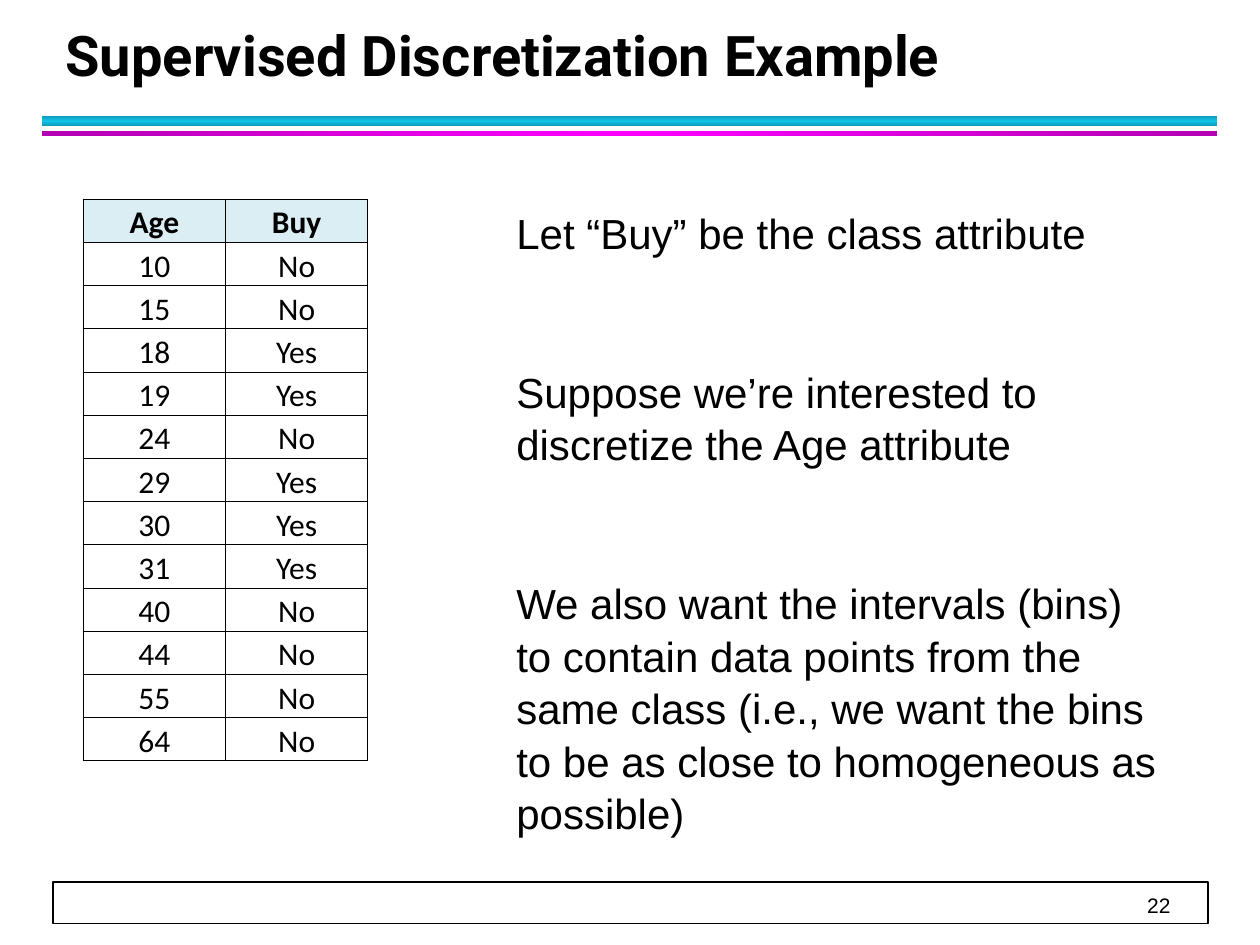
"""Build the supervised discretization example slide."""
from copy import deepcopy
from typing import NamedTuple

from lxml.etree import SubElement
from pptx import Presentation
from pptx.dml.color import RGBColor
from pptx.enum.shapes import MSO_SHAPE as Preset
from pptx.enum.text import MSO_ANCHOR as Anchor, MSO_AUTO_SIZE as AutoSize, PP_ALIGN as Align
from pptx.oxml.ns import qn
from pptx.util import Inches, Pt

BLACK = RGBColor(0x00, 0x00, 0x00)
WHITE = RGBColor(0xFF, 0xFF, 0xFF)
HEADER_BLUE = RGBColor(0xDA, 0xEE, 0xF3)
DARK_CYAN = RGBColor(0x0E, 0x9B, 0xBA)
CYAN = RGBColor(0x12, 0xC2, 0xE9)
DARK_MAGENTA = RGBColor(0xB2, 0x00, 0xB2)
MAGENTA = RGBColor(0xFF, 0x00, 0xFF)


class Band(NamedTuple):
    top: float
    height: float
    edge: RGBColor
    middle: RGBColor
    angle: int


class Purchase(NamedTuple):
    age: str
    buy: str


BANDS = [
    Band(0.92, 0.08, DARK_CYAN, CYAN, 90),
    Band(1.04, 0.04, DARK_MAGENTA, MAGENTA, 0),
]
PURCHASES = [
    Purchase("Age", "Buy"),
    Purchase("10", "No"),
    Purchase("15", "No"),
    Purchase("18", "Yes"),
    Purchase("19", "Yes"),
    Purchase("24", "No"),
    Purchase("29", "Yes"),
    Purchase("30", "Yes"),
    Purchase("31", "Yes"),
    Purchase("40", "No"),
    Purchase("44", "No"),
    Purchase("55", "No"),
    Purchase("64", "No"),
]
STATEMENTS = [
    "Let “Buy” be the class attribute",
    "Suppose we’re interested to discretize the Age attribute",
    "We also want the intervals (bins) to contain data points from the same class "
    "(i.e., we want the bins to be as close to homogeneous as possible)",
]


def style_runs(paragraph, font_name: str, size: int, bold: bool = False) -> None:
    for run in paragraph.runs:
        run.font.name = font_name
        run.font.size = Pt(size)
        run.font.bold = bold
        run.font.color.rgb = BLACK


def set_margins(frame, horizontal: float, vertical: float) -> None:
    frame.margin_left = frame.margin_right = Inches(horizontal)
    frame.margin_top = frame.margin_bottom = Inches(vertical)


def add_footer(slide) -> None:
    bar = slide.shapes.add_shape(
        Preset.RECTANGLE, Inches(0.42), Inches(7), Inches(9.17), Inches(0.33))
    bar.shadow.inherit = False
    bar.fill.solid()
    bar.fill.fore_color.rgb = WHITE
    bar.line.color.rgb = BLACK
    bar.line.width = Pt(1)

    page_number = slide.shapes.add_textbox(
        Inches(0.42), Inches(7), Inches(8.87), Inches(0.28)).text_frame
    page_number.word_wrap = True
    page_number.vertical_anchor = Anchor.BOTTOM
    set_margins(page_number, 0, 0)
    paragraph = page_number.paragraphs[0]
    paragraph.text = "22"
    paragraph.alignment = Align.RIGHT
    paragraph.line_spacing = Pt(20)
    style_runs(paragraph, "Arial", 12)


def add_band(slide, band: Band) -> None:
    stripe = slide.shapes.add_shape(
        Preset.RECTANGLE, Inches(0.33), Inches(band.top), Inches(9.33), Inches(band.height))
    stripe.shadow.inherit = False
    stripe.line.fill.background()
    stripe.fill.gradient()
    stripe.fill.gradient_angle = band.angle
    stop_list = stripe._element.spPr.find(".//" + qn("a:gsLst"))
    stop_list.insert(1, deepcopy(stop_list[0]))
    colors = (band.edge, band.middle, band.edge)
    for stop, position, color in zip(stripe.fill.gradient_stops, (0, 0.5, 1), colors):
        stop.position = position
        stop.color.rgb = color


def add_title(slide) -> None:
    title = slide.shapes.title
    title.left, title.top = Inches(0.42), Inches(0.17)
    title.width, title.height = Inches(9.06), Inches(0.58)
    frame = title.text_frame
    frame.text = "Supervised Discretization Example"
    frame.auto_size = AutoSize.NONE
    frame.vertical_anchor = Anchor.BOTTOM
    set_margins(frame, 0.1, 0.05)
    heading = frame.paragraphs[0]
    heading.alignment = Align.LEFT
    heading.line_spacing = Pt(36)
    style_runs(heading, "Roboto", 32, bold=True)


def add_borders(cell) -> None:
    properties = cell._tc.get_or_add_tcPr()
    for side in ("a:lnL", "a:lnR", "a:lnT", "a:lnB"):
        border = SubElement(properties, qn(side), w=str(Pt(0.5)))
        solid = SubElement(border, qn("a:solidFill"))
        SubElement(solid, qn("a:srgbClr"), val=str(BLACK))


def fill_cell(cell, text: str, is_header: bool) -> None:
    add_borders(cell)
    if is_header:
        cell.fill.solid()
        cell.fill.fore_color.rgb = HEADER_BLUE
    else:
        cell.fill.background()
    cell.margin_left = cell.margin_right = cell.margin_top = Inches(0.01)
    cell.margin_bottom = 0
    cell.vertical_anchor = Anchor.BOTTOM
    paragraph = cell.text_frame.paragraphs[0]
    paragraph.text = text
    paragraph.alignment = Align.CENTER
    style_runs(paragraph, "Calibri", 18, bold=is_header)


def add_purchases(slide) -> None:
    purchases = slide.shapes.add_table(
        len(PURCHASES), 2, Inches(0.66), Inches(1.58), Inches(2.26), Inches(4.46)).table
    purchases.first_row = False
    purchases.horz_banding = False
    for row, purchase in enumerate(PURCHASES):
        for column, text in enumerate(purchase):
            fill_cell(purchases.cell(row, column), text, is_header=row == 0)


def add_statements(slide) -> None:
    frame = slide.shapes.add_textbox(
        Inches(4), Inches(1.58), Inches(5.33), Inches(5.05)).text_frame
    frame.word_wrap = True
    frame.text = "\n".join(STATEMENTS)
    for paragraph in frame.paragraphs:
        paragraph.line_spacing = 1.04
        paragraph.space_after = Pt(61)
        style_runs(paragraph, "Arial", 24)


def main() -> None:
    deck = Presentation()
    deck.slide_width, deck.slide_height = Inches(10), Inches(7.5)
    slide = deck.slides.add_slide(deck.slide_layouts[5])
    add_footer(slide)
    for band in BANDS:
        add_band(slide, band)
    add_title(slide)
    add_purchases(slide)
    add_statements(slide)
    deck.save("out.pptx")


if __name__ == "__main__":
    main()
